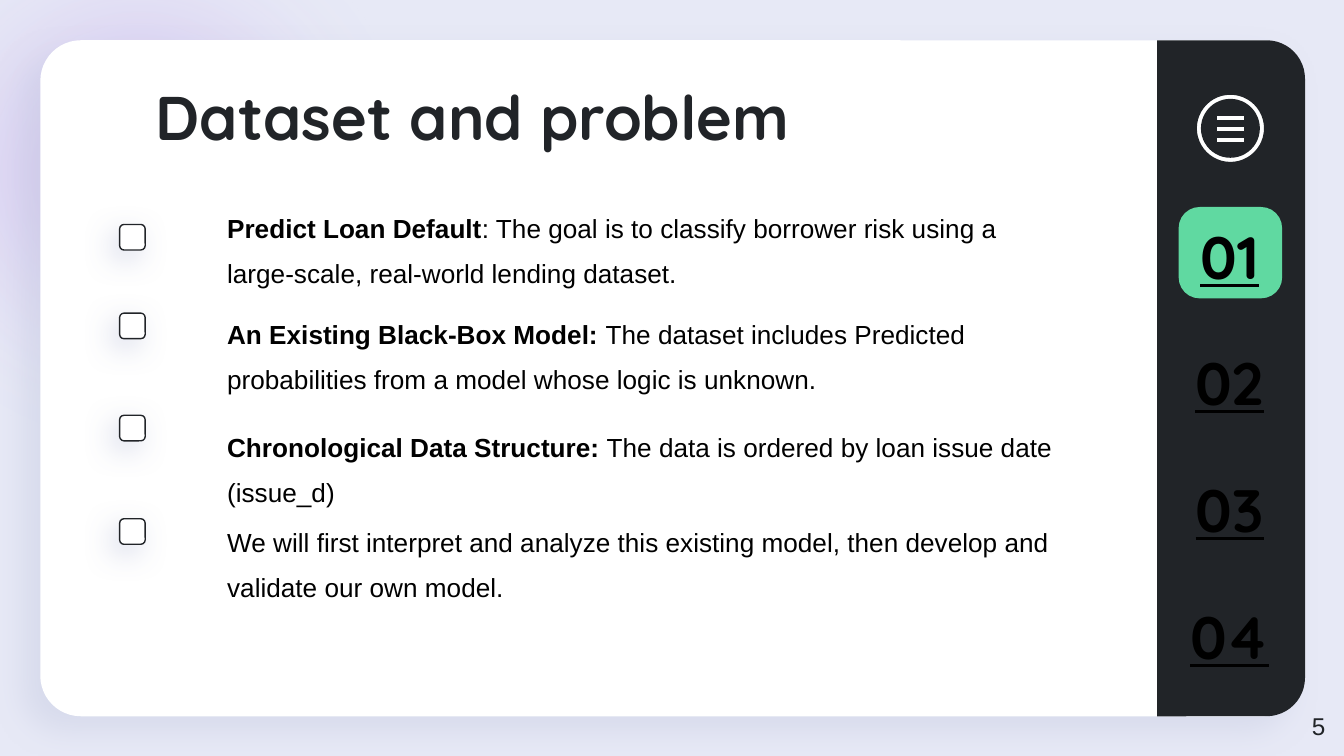
from lxml import etree
from pptx import Presentation
from pptx.dml.color import RGBColor
from pptx.enum.shapes import MSO_SHAPE
from pptx.enum.text import MSO_ANCHOR, PP_ALIGN
from pptx.oxml import parse_xml
from pptx.oxml.ns import nsdecls
from pptx.util import Inches, Pt

OVAL = MSO_SHAPE.OVAL
DONUT = MSO_SHAPE.DONUT
RECTANGLE = MSO_SHAPE.RECTANGLE
ROUNDED = MSO_SHAPE.ROUNDED_RECTANGLE
ROUND_TOP = MSO_SHAPE.ROUND_2_SAME_RECTANGLE
TOP, MIDDLE = MSO_ANCHOR.TOP, MSO_ANCHOR.MIDDLE
LEFT, CENTER, RIGHT = PP_ALIGN.LEFT, PP_ALIGN.CENTER, PP_ALIGN.RIGHT

LAVENDER = RGBColor(0xE7, 0xE9, 0xF6)
PURPLE = RGBColor(0xA2, 0x64, 0xE3)
SHADE = RGBColor(0xC7, 0xCC, 0xE2)
WHITE = RGBColor(0xFF, 0xFF, 0xFF)
BLACK = RGBColor(0, 0, 0)
INK = RGBColor(0x21, 0x24, 0x28)
GREEN = RGBColor(0x60, 0xD9, 0xA1)

HEADING_FONT, BODY_FONT = "Quicksand", "Arial"

POINTS = [
    (1.38, 1.67, 6.93, "Predict Loan Default",
     ": The goal is to classify borrower risk using a large-scale, real-world lending dataset."),
    (2.17, 2.33, 6.5, "An Existing Black-Box Model: ",
     "The dataset includes Predicted probabilities from a model whose logic is unknown."),
    (3.01, 3.09, 6.93, "Chronological Data Structure:",
     " The data is ordered by loan issue date (issue_d)"),
    (3.72, 3.86, 6.93, "",
     "We will first interpret and analyze this existing model, then develop and validate our own model."),
]


def add_shape(page, kind, left, top, width, height, fill, line=None, adjust=()):
    shape = page.shapes.add_shape(
        kind, Inches(left), Inches(top), Inches(width), Inches(height))
    shape.shadow.inherit = False
    shape.fill.solid()
    shape.fill.fore_color.rgb = fill
    if line is None:
        shape.line.fill.background()
    else:
        shape.line.color.rgb = line
        shape.line.width = Pt(0.75)
    for index, value in enumerate(adjust):
        shape.adjustments[index] = value
    return shape


def cast_shadow(shape, alpha, blur, distance, angle):
    effects = shape._element.spPr.find("{*}effectLst")
    effects.append(parse_xml(
        f'<a:outerShdw {nsdecls("a")} blurRad="{Pt(blur)}" dist="{Pt(distance)}" '
        f'dir="{angle * 60000}" algn="bl" rotWithShape="0"><a:srgbClr val="{SHADE}">'
        f'<a:alpha val="{alpha * 1000}"/></a:srgbClr></a:outerShdw>'))


def add_text(page, left, top, width, height, runs, size, font, color,
             align=LEFT, anchor=TOP, margins=(0.1, 0.1, 0.1, 0.1)):
    box = page.shapes.add_textbox(
        Inches(left), Inches(top), Inches(width), Inches(height))
    frame = box.text_frame
    frame.word_wrap = True
    frame.vertical_anchor = anchor
    (frame.margin_left, frame.margin_top,
     frame.margin_right, frame.margin_bottom) = map(Inches, margins)
    para = frame.paragraphs[0]
    para.alignment = align
    para.font.size = Pt(size)
    para.font.name = font
    para.font.color.rgb = color
    for text, bold in runs:
        span = para.add_run()
        span.text = text
        span.font.bold = bold
    return para


def add_glow(page, left, top, size):
    glow = add_shape(page, OVAL, left, top, size, size, PURPLE)
    properties = glow._element.spPr
    stops = "".join(
        f'<a:gs pos="{position * 1000}"><a:srgbClr val="{color}">'
        f'<a:alpha val="{alpha * 1000}"/></a:srgbClr></a:gs>'
        for position, color, alpha in [(0, PURPLE, 49), (62, LAVENDER, 0), (100, WHITE, 0)])
    gradient = etree.fromstring(
        f'<a:gradFill {nsdecls("a")}><a:gsLst>{stops}</a:gsLst><a:path path="circle">'
        '<a:fillToRect l="50000" t="50000" r="50000" b="50000"/></a:path></a:gradFill>')
    properties.replace(properties.find("{*}solidFill"), gradient)


def add_card(page, left, top, width, height, side_width):
    card = add_shape(page, ROUNDED, left, top, width, height, WHITE, adjust=[0.06])
    cast_shadow(card, 47, 16.9, 12, 137)
    center_x = left + width - side_width / 2
    center_y = top + height / 2
    side = add_shape(page, ROUND_TOP, center_x - height / 2, center_y - side_width / 2,
                     height, side_width, INK, adjust=[0.26, 0])
    side.rotation = 90


def add_menu_icon(page, left, top, size):
    add_shape(page, DONUT, left, top, size, size, WHITE, INK, [0.08])
    for row in range(3):
        add_shape(page, RECTANGLE, left + 0.15, top + 0.16 + row * 0.08,
                  0.21, 0.04, WHITE, INK)


def add_navigation(page, left, top, width):
    add_shape(page, ROUNDED, left + 0.02, top + 0.84, width - 0.03, 0.68,
              GREEN, adjust=[0.23])
    add_menu_icon(page, left + 0.15, top, 0.51)
    for index in range(4):
        para = add_text(page, left, top + 0.93 + index * 2.83 / 3, width, 0.54,
                        [(f"{index + 1:02}", True)], 32, HEADING_FONT, BLACK,
                        CENTER, MIDDLE, (0.1, 0, 0.1, 0))
        para.runs[0].font.underline = True


def add_point(page, left, top, box_top, width, lead, detail):
    tick_box = add_shape(page, ROUNDED, left, box_top, 0.19, 0.19, WHITE, INK, [0.17])
    cast_shadow(tick_box, 63, 15.8, 6, 128)
    runs = [(text, bold) for text, bold in [(lead, True), (detail, False)] if text]
    para = add_text(page, left + 0.2, top, width, 0.77, runs, 14, BODY_FONT, BLACK,
                    margins=(0.6, 0.1, 0.1, 0.1))
    para.line_spacing = 1.43


def main():
    deck = Presentation()
    deck.slide_width = Inches(10)
    deck.slide_height = deck.slide_width * 9 // 16
    page = deck.slides.add_slide(deck.slide_layouts[6])
    page.background.fill.solid()
    page.background.fill.fore_color.rgb = LAVENDER

    add_glow(page, -1.3, -1.04, 4.66)
    add_card(page, 0.3, 0.3, 9.41, 5.03, 1.1)
    add_navigation(page, 8.75, 0.7, 0.8)
    add_text(page, 0.67, 0.59, 7.45, 0.52, [("Dataset and problem", True)],
             33, HEADING_FONT, INK, margins=(0.49, 0, 0.1, 0.1))
    for point in POINTS:
        add_point(page, 0.89, *point)
    add_text(page, 9.36, 5.19, 0.6, 0.43, [("5", False)], 13, BODY_FONT, INK, RIGHT)
    deck.save("out.pptx")


if __name__ == "__main__":
    main()
